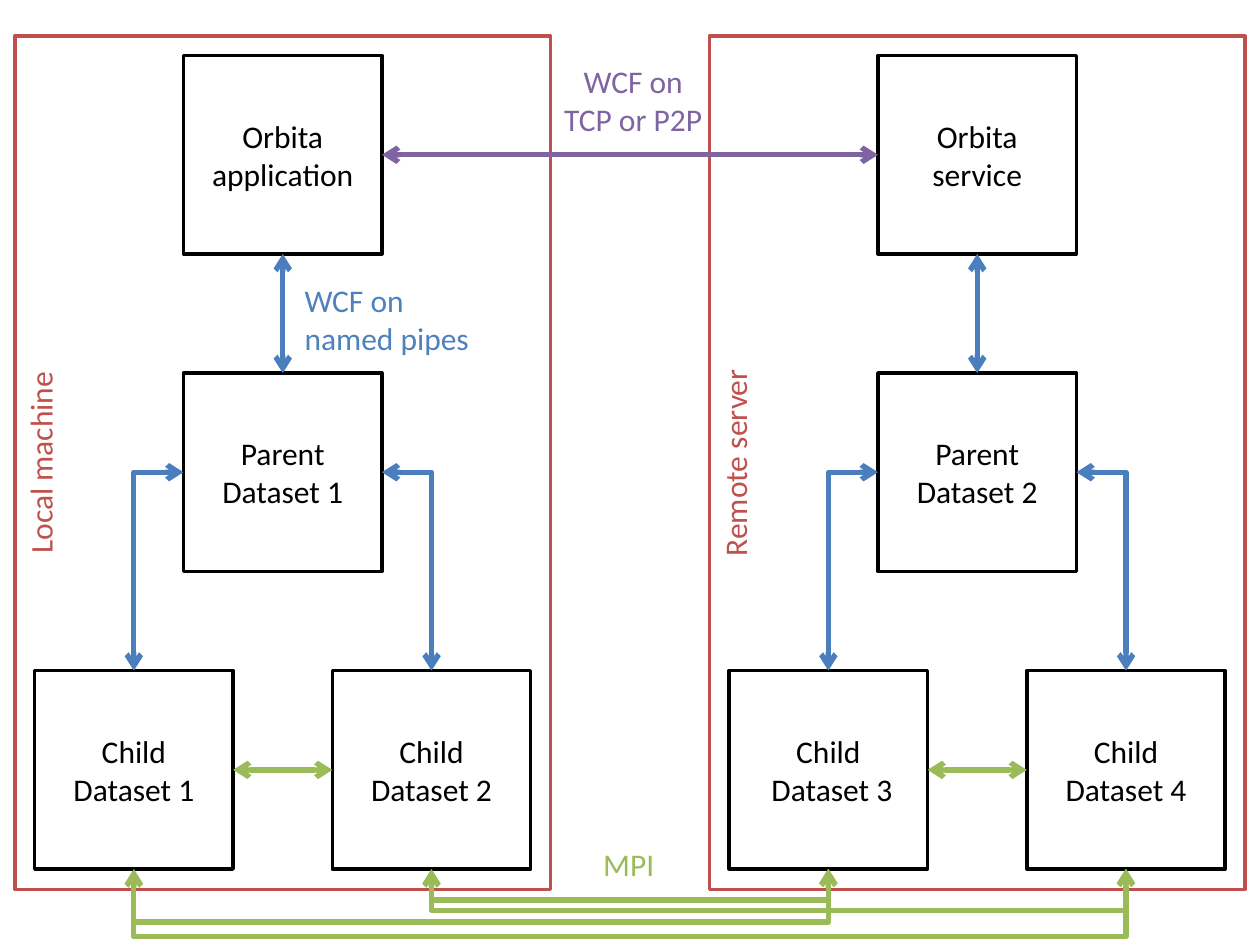
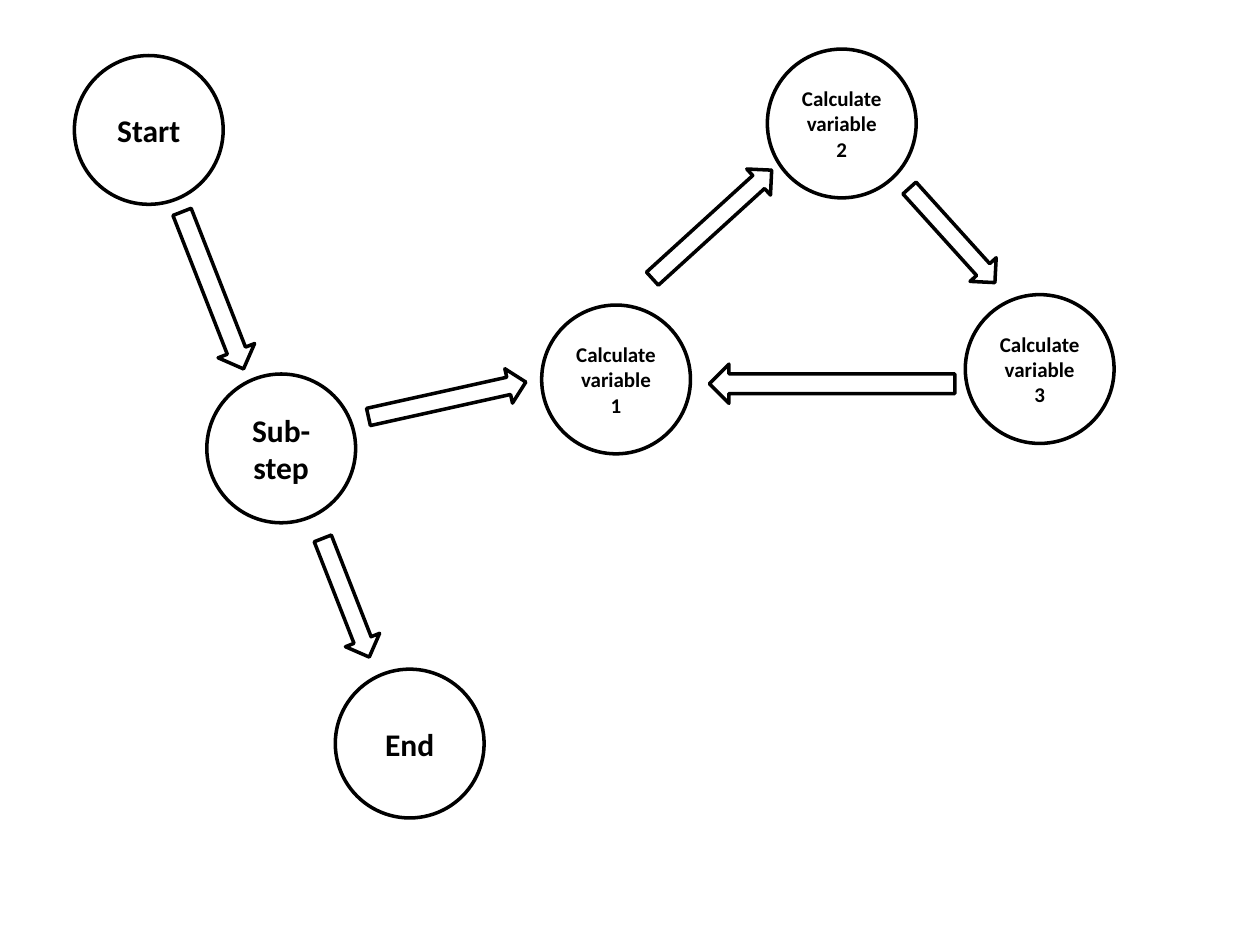
import dataclasses

import lxml.etree
import pptx
import pptx.dml.color
import pptx.enum.shapes
import pptx.enum.text
import pptx.oxml.ns
import pptx.util

Cm = pptx.util.Cm
Pt = pptx.util.Pt
SHAPE = pptx.enum.shapes.MSO_SHAPE
CONNECTOR = pptx.enum.shapes.MSO_CONNECTOR
ALIGN = pptx.enum.text.PP_ALIGN
ANCHOR = pptx.enum.text.MSO_ANCHOR
TOP, LEFT, BOTTOM, RIGHT = range(4)


def rgb(code):
    return pptx.dml.color.RGBColor.from_string(code)


@dataclasses.dataclass(frozen=True)
class Theme:
    font: str = "Calibri"
    ink: str = "000000"
    machine: str = "C0504D"
    pipe: str = "4B7EBC"
    pipe_label: str = "4F81BD"
    network: str = "8064A2"
    mpi: str = "9BBB59"
    body: int = 18
    small: int = 12
    outline: int = 2
    link: int = 3


class Diagram:
    def __init__(self, prs, theme):
        self.prs = prs
        self.theme = theme
        self.slide = None

    def new_slide(self):
        self.slide = self.prs.slides.add_slide(self.prs.slide_layouts[6])

    def set_text(self, sp, text, color, size, bold=False, align=ALIGN.CENTER):
        tf = sp.text_frame
        tf.text = text
        for p in tf.paragraphs:
            p.alignment = align
            for r in p.runs:
                r.font.name = self.theme.font
                r.font.size = Pt(size)
                r.font.bold = bold
                r.font.color.rgb = rgb(color)

    def outline(self, kind, x, y, w, h, color):
        sp = self.slide.shapes.add_shape(kind, Cm(x), Cm(y), Cm(w), Cm(h))
        sp.shadow.inherit = False
        sp.fill.background()
        sp.line.color.rgb = rgb(color)
        sp.line.width = Pt(self.theme.outline)
        return sp

    def box(self, x, y, text):
        sp = self.outline(SHAPE.RECTANGLE, x, y, 4, 4, self.theme.ink)
        self.set_text(sp, text, self.theme.ink, self.theme.body)
        return sp

    def machine(self, x, y, text):
        sp = self.outline(SHAPE.RECTANGLE, x, y, 10.8, 17.2, self.theme.machine)
        self.set_text(sp, text, self.theme.machine, self.theme.body)
        sp.text_frame.vertical_anchor = ANCHOR.TOP
        sp.text_frame._txBody.bodyPr.set("vert", "vert270")

    def circle(self, x, y, text, size):
        sp = self.outline(SHAPE.OVAL, x, y, 3, 3, self.theme.ink)
        self.set_text(sp, text, self.theme.ink, size, bold=True)

    def block_arrow(self, x, y, w, h, angle):
        sp = self.outline(SHAPE.RIGHT_ARROW, x, y, w, h, self.theme.ink)
        sp.rotation = angle

    def label(self, x, y, w, h, text, color, align=ALIGN.LEFT, wrap=False):
        sp = self.slide.shapes.add_textbox(Cm(x), Cm(y), Cm(w), Cm(h))
        sp.text_frame.word_wrap = wrap
        sp.text_frame.auto_size = pptx.enum.text.MSO_AUTO_SIZE.SHAPE_TO_FIT_TEXT
        self.set_text(sp, text, color, self.theme.body, align=align)

    def link(self, a, a_side, b, b_side, color, kind=CONNECTOR.STRAIGHT):
        cn = self.slide.shapes.add_connector(kind, 0, 0, 0, 0)
        cn.begin_connect(a, a_side)
        cn.end_connect(b, b_side)
        cn.line.color.rgb = rgb(color)
        cn.line.width = Pt(self.theme.link)
        ln = cn.line._get_or_add_ln()
        for end in ("a:headEnd", "a:tailEnd"):
            lxml.etree.SubElement(ln, pptx.oxml.ns.qn(end), type="arrow")
        lxml.etree.SubElement(cn._element.spPr, pptx.oxml.ns.qn("a:effectLst"))
        return cn

    def corner(self, a, a_side, b, b_side, color):
        cn = self.link(a, a_side, b, b_side, color, CONNECTOR.ELBOW)
        geom = cn._element.spPr.find(pptx.oxml.ns.qn("a:prstGeom"))
        geom.set("prst", "bentConnector2")

    def loop_below(self, a, b, depth, color):
        cn = self.link(a, BOTTOM, b, BOTTOM, color, CONNECTOR.ELBOW)
        span = cn.width
        middle, base = cn.left + span // 2, cn.top
        thin = Cm(0.01)
        cn.left, cn.top = middle - thin // 2, base - span // 2
        cn.width, cn.height = thin, span
        cn.rotation = 270
        cn._element.spPr.find(pptx.oxml.ns.qn("a:xfrm")).set("flipH", "1")
        geom = cn._element.spPr.find(pptx.oxml.ns.qn("a:prstGeom"))
        guides = geom.find(pptx.oxml.ns.qn("a:avLst"))
        if guides is None:
            guides = lxml.etree.SubElement(geom, pptx.oxml.ns.qn("a:avLst"))
        ratio = round(Cm(depth) / thin * 100000)
        lxml.etree.SubElement(guides, pptx.oxml.ns.qn("a:gd"),
                              name="adj1", fmla=f"val {ratio}")


def process_slide(d):
    t = d.theme
    d.new_slide()
    machines = [
        (0.3, "Local machine", "Orbita application", "Parent Dataset 1",
         ("Child\nDataset 1", "Child\nDataset 2")),
        (14.3, "Remote server", "Orbita service", "Parent Dataset 2",
         ("Child\n Dataset 3", "Child\nDataset 4")),
    ]
    tops, children = [], []
    for x, name, top_text, parent_text, child_texts in machines:
        top = d.box(x + 3.4, 1.12, top_text)
        parent = d.box(x + 3.4, 7.52, parent_text)
        pair = [d.box(x + 0.4 + 6 * i, 13.52, text)
                for i, text in enumerate(child_texts)]
        d.machine(x, 0.73, name)
        d.link(top, BOTTOM, parent, TOP, t.pipe)
        for side, child in zip((LEFT, RIGHT), pair):
            d.corner(parent, side, child, TOP, t.pipe)
        d.link(pair[0], RIGHT, pair[1], LEFT, t.mpi)
        tops.append(top)
        children += pair

    d.link(tops[0], RIGHT, tops[1], LEFT, t.network)
    for a, b, depth in ((1, 2, 0.63), (0, 3, 1.37), (1, 3, 0.84), (0, 2, 1.07)):
        d.loop_below(children[a], children[b], depth, t.mpi)

    d.label(11.91, 16.92, 1.55, 1.02, "MPI", t.mpi)
    d.label(11.1, 1.12, 3.33, 1.8, "WCF on\nTCP or P2P", t.network, ALIGN.CENTER)
    d.label(5.89, 5.54, 3.86, 1.8, "WCF on\nnamed pipes", t.pipe_label, wrap=True)


def steps_slide(d):
    t = d.theme
    d.new_slide()
    for x, y, text in ((1.5, 1.12, "Start"), (4.17, 7.54, "Sub-step"),
                       (6.76, 13.49, "End")):
        d.circle(x, y, text, t.body)
    for n, (x, y) in enumerate(((10.92, 6.15), (15.47, 0.99), (19.46, 5.94)), 1):
        d.circle(x, y, f"Calculate variable {n}", t.small)
    for arrow in ((2.59, 5.46, 3.4, 0.79, 68.6),
                  (5.69, 11.68, 2.57, 0.74, 68.6),
                  (7.39, 7.7, 3.25, 0.71, 347.5),
                  (12.73, 4.17, 3.25, 0.71, 317.7),
                  (17.91, 4.39, 2.57, 0.71, 47.9),
                  (14.3, 7.34, 4.95, 0.79, 180)):
        d.block_arrow(*arrow)


prs = pptx.Presentation()
prs.slide_width = Cm(25.4)
prs.slide_height = Cm(19.05)
diagram = Diagram(prs, Theme())
process_slide(diagram)
steps_slide(diagram)
prs.save("out.pptx")
